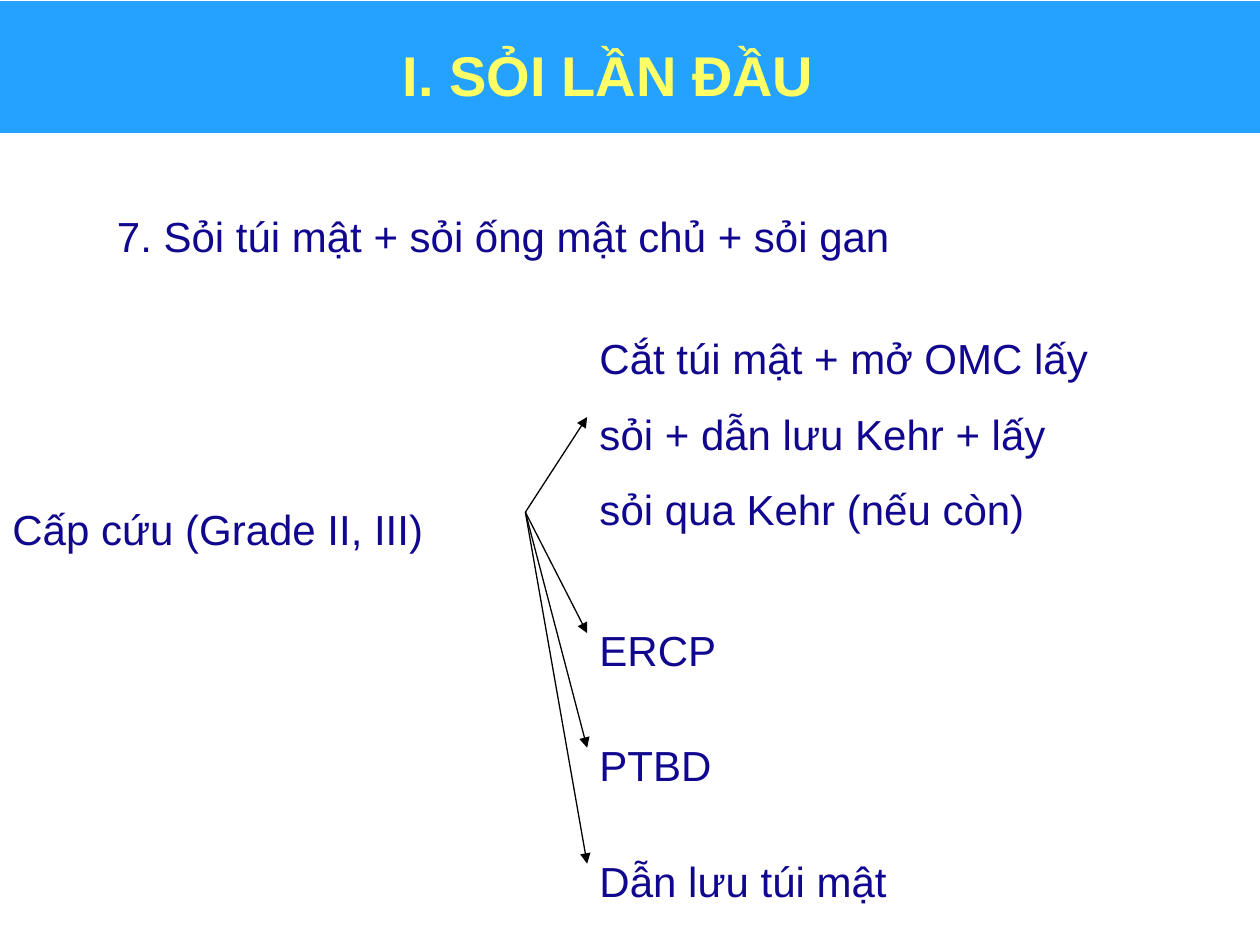
from pptx import Presentation
from pptx.dml.color import RGBColor
from pptx.enum import shapes, text
from pptx.oxml.ns import qn
from pptx.util import Inches, Pt
from lxml import etree

COLOR = {"band": "25A2FF", "edge": "FFFFFF", "title": "FFFF66",
         "body": "11078F", "arrow": "000000"}
TITLE = "I. SỎI LẦN ĐẦU"
TOPIC = ("7. Sỏi túi mật + sỏi ống mật chủ + sỏi gan", 0.83, 1.42, 8.75, 0.63)
CASE = ("Cấp cứu (Grade II, III)", 0, 3.75, 4.17, 0.63)
LEFT = 4.66
OPTIONS = [  # wording, top, width, height
    ("Cắt túi mật + mở OMC lấy sỏi + dẫn lưu Kehr + lấy sỏi qua Kehr (nếu còn)",
     2.39, 4.17, 1.84),
    ("ERCP", 4.71, 4.17, 0.63),
    ("PTBD", 5.62, 4.56, 0.63),
    ("Dẫn lưu túi mật", 6.54, 4.56, 0.63),
]


def rgb(name):
    return RGBColor.from_string(COLOR[name])


def add_text(words, x, y, w, h, size=24, color="body"):
    box = slide.shapes.add_textbox(*map(Inches, (x, y, w, h)))
    box.text_frame.word_wrap = True
    para = box.text_frame.paragraphs[0]
    para.text = words
    font = para.font
    font.name, font.size = "Arial", Pt(size)
    font.color.rgb = rgb(color)
    para.line_spacing = 1.5
    return box


def add_arrow(start, end):
    """Join the right side of start to the left side of end."""
    line = slide.shapes.add_connector(shapes.MSO_CONNECTOR.STRAIGHT, 0, 0, 0, 0)
    line.begin_connect(start, 3)
    line.end_connect(end, 1)
    line.line.color.rgb = rgb("arrow")
    line.line.width = Pt(0.75)
    etree.SubElement(line.line._get_or_add_ln(), qn("a:tailEnd"), type="triangle")
    etree.SubElement(line._element.spPr, qn("a:effectLst"))


deck = Presentation()
deck.slide_width, deck.slide_height = Inches(10), Inches(7.5)
slide = deck.slides.add_slide(deck.slide_layouts[6])

band = slide.shapes.add_shape(shapes.MSO_SHAPE.RECTANGLE,
                              *map(Inches, (-0.07, 0, 10.09, 1.06)))
band.shadow.inherit = False
band.fill.solid()
band.fill.fore_color.rgb = rgb("band")
band.line.color.rgb = rgb("edge")
band.line.width = Pt(0.75)

title = add_text(TITLE, 0.58, 0.17, 8.5, 0.83, 32, "title")
title.text_frame.vertical_anchor = text.MSO_ANCHOR.MIDDLE
head = title.text_frame.paragraphs[0]
head.alignment = text.PP_ALIGN.CENTER
head.line_spacing = 1.0
head.font.bold = True

add_text(*TOPIC)
case = add_text(*CASE)
for words, top, width, height in OPTIONS:
    add_arrow(case, add_text(words, LEFT, top, width, height))

deck.save("out.pptx")
